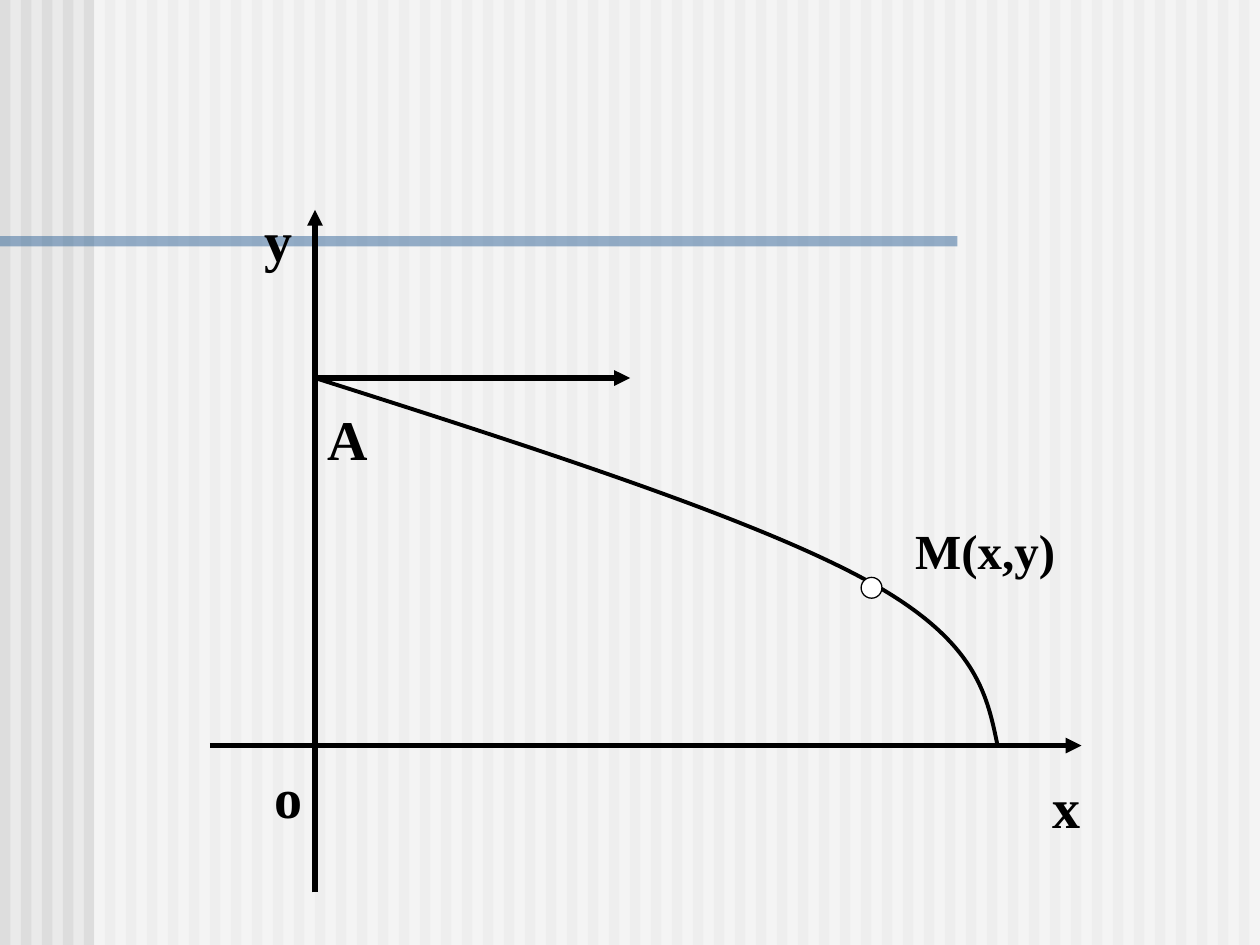
from lxml.etree import SubElement
from pptx import Presentation
from pptx.dml.color import RGBColor
from pptx.enum.shapes import MSO_CONNECTOR, MSO_SHAPE
from pptx.enum.text import MSO_AUTO_SIZE
from pptx.oxml.ns import qn
from pptx.util import Cm, Pt

COLORS = {
    "background": "EAEAEA",
    "stripe": "DDDDDD",
    "panel": "FFFFFF",
    "rule": "336699",
    "ink": "000000",
}
FONT = "Times New Roman"
WIDTH, HEIGHT = 25.4, 19.05
STRIPE_COUNT = 60
ORIGIN_X, ORIGIN_Y = 6.35, 15.03
START_Y = 7.62
POINT_X, POINT_Y = 17.36, 11.64
LABELS = [
    ("x", 20.96, 15.45, 3.81, 32),
    ("y", 5.08, 4.02, 2.12, 32),
    ("o", 5.29, 15.24, 1.9, 32),
    ("A", ORIGIN_X, 8.04, 1.48, 32),
    ("M(x,y)", 18.2, 10.37, 3.81, 28),
]
ARROWS = [
    (4.23, ORIGIN_Y, 21.8, ORIGIN_Y),
    (ORIGIN_X, START_Y, 12.7, START_Y),
    (ORIGIN_X, 17.99, ORIGIN_X, 4.23),
]
TRAJECTORY = [
    (ORIGIN_X, START_Y),
    (10.72, 9.01), (15.06, 10.41), (POINT_X, POINT_Y),
    (19.66, 12.87), (19.89, 13.95), (20.11, ORIGIN_Y),
]


def color(name):
    return RGBColor.from_string(COLORS[name])


def add_block(slide, left, top, width, height, fill, opacity=100):
    shape = slide.shapes.add_shape(
        MSO_SHAPE.RECTANGLE, Cm(left), Cm(top), Cm(width), Cm(height))
    shape.shadow.inherit = False
    shape.fill.solid()
    shape.fill.fore_color.rgb = color(fill)
    shape.line.fill.background()
    if opacity < 100:
        fill_color = shape.element.spPr.find(qn("a:solidFill")).find(qn("a:srgbClr"))
        SubElement(fill_color, qn("a:alpha"), val=str(opacity * 1000))


def add_backdrop(slide):
    slide.background.fill.solid()
    slide.background.fill.fore_color.rgb = color("background")
    pitch = WIDTH / STRIPE_COUNT
    for index in range(STRIPE_COUNT):
        add_block(slide, index * pitch, 0, pitch / 2, HEIGHT, "stripe")
    add_block(slide, 1.9, 0, WIDTH - 1.9, HEIGHT, "panel", 50)
    add_block(slide, 0, 4.76, 19.3, 0.21, "rule", 50)


def add_label(slide, text, left, top, width, size):
    box = slide.shapes.add_textbox(
        Cm(left), Cm(top), Cm(width), Cm(1.62 if size == 32 else 1.45))
    frame = box.text_frame
    frame.word_wrap = True
    frame.auto_size = MSO_AUTO_SIZE.SHAPE_TO_FIT_TEXT
    paragraph = frame.paragraphs[0]
    paragraph.text = text
    paragraph.font.name = FONT
    paragraph.font.size = Pt(size)
    paragraph.font.bold = True
    paragraph.font.color.rgb = color("ink")


def add_arrow(slide, *ends):
    connector = slide.shapes.add_connector(
        MSO_CONNECTOR.STRAIGHT, *(Cm(value) for value in ends))
    connector.line.color.rgb = color("ink")
    connector.line.width = Pt(3)
    properties = connector.element.spPr
    SubElement(properties.find(qn("a:ln")), qn("a:tailEnd"), type="triangle")
    SubElement(properties, qn("a:effectLst"))


def add_curve(slide, points):
    start, *rest = [(Cm(x), Cm(y)) for x, y in points]
    builder = slide.shapes.build_freeform(*start)
    builder.add_line_segments(rest, close=False)
    shape = builder.convert_to_shape()
    shape.shadow.inherit = False
    shape.fill.background()
    shape.line.color.rgb = color("ink")
    shape.line.width = Pt(2.25)
    segments = list(shape.element.iter(qn("a:lnTo")))
    outline = segments[0].getparent()
    for first in range(0, len(segments), 3):
        curve = SubElement(outline, qn("a:cubicBezTo"))
        for segment in segments[first:first + 3]:
            curve.append(segment[0])
            outline.remove(segment)


def add_marker(slide, left, top, diameter):
    marker = slide.shapes.add_shape(
        MSO_SHAPE.OVAL, Cm(left), Cm(top), Cm(diameter), Cm(diameter))
    marker.shadow.inherit = False
    marker.fill.solid()
    marker.fill.fore_color.rgb = color("panel")
    marker.line.color.rgb = color("ink")
    marker.line.width = Pt(0.75)


def main():
    presentation = Presentation()
    presentation.slide_width = Cm(WIDTH)
    presentation.slide_height = Cm(HEIGHT)
    slide = presentation.slides.add_slide(presentation.slide_layouts[6])
    add_backdrop(slide)
    for label in LABELS:
        add_label(slide, *label)
    for arrow in ARROWS:
        add_arrow(slide, *arrow)
    add_curve(slide, TRAJECTORY)
    add_marker(slide, POINT_X, POINT_Y, 0.42)
    presentation.save("out.pptx")


if __name__ == "__main__":
    main()
